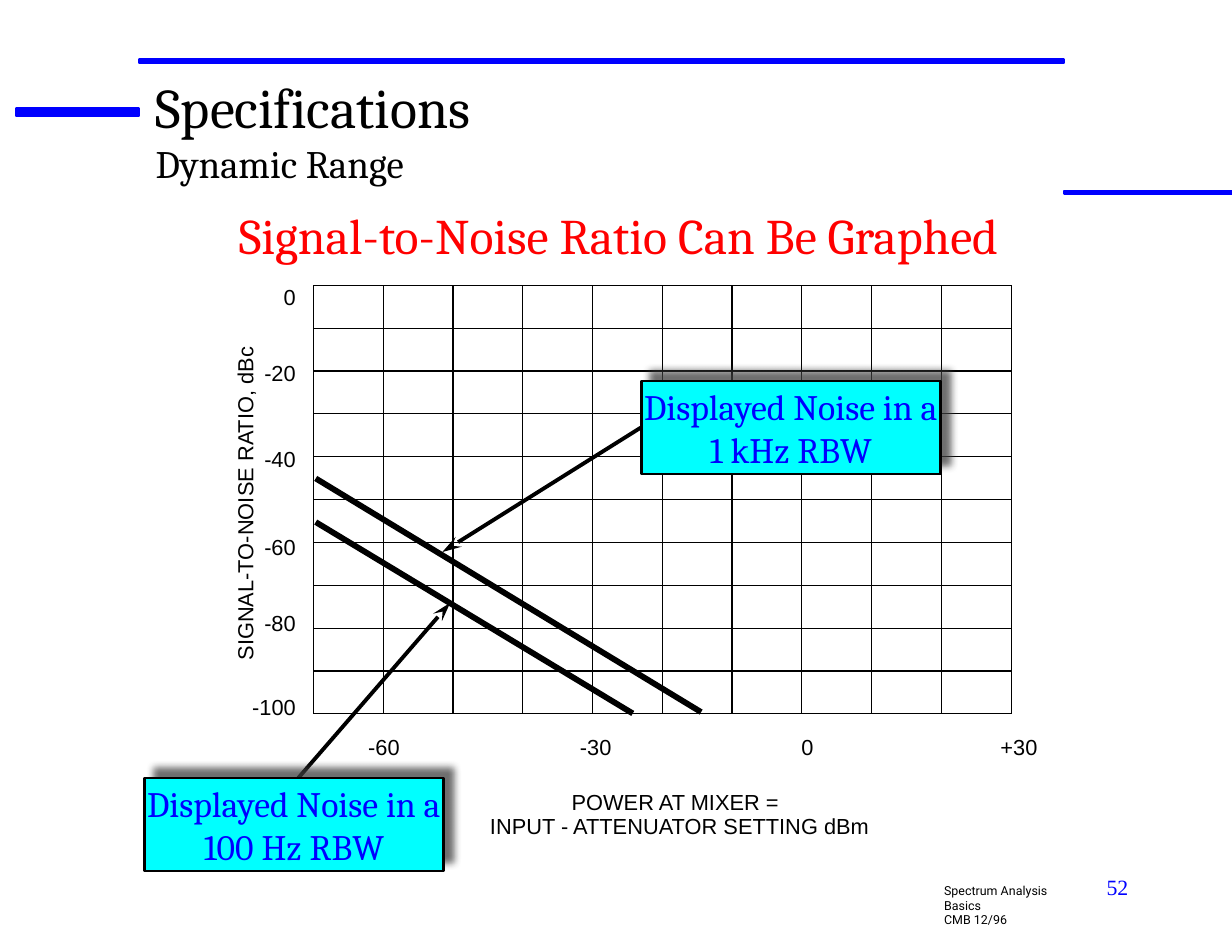
from lxml import etree
from pptx import Presentation
from pptx.dml.color import RGBColor
from pptx.enum.shapes import MSO_CONNECTOR, MSO_SHAPE
from pptx.enum.text import MSO_ANCHOR, PP_ALIGN
from pptx.oxml import parse_xml
from pptx.oxml.ns import nsdecls, qn
from pptx.util import Cm, Pt

BLACK = RGBColor(0, 0, 0)
BLUE = RGBColor(0, 0, 255)
CYAN = RGBColor(0, 255, 255)
RED = RGBColor(255, 0, 0)
LEFT, CENTER, RIGHT = PP_ALIGN.LEFT, PP_ALIGN.CENTER, PP_ALIGN.RIGHT
TOP, MIDDLE, BOTTOM = MSO_ANCHOR.TOP, MSO_ANCHOR.MIDDLE, MSO_ANCHOR.BOTTOM
STRAIGHT = MSO_CONNECTOR.STRAIGHT
RECTANGLE = MSO_SHAPE.RECTANGLE

# All places are centimetres: left, top, width, height
RULES = [(0.36, 2.46, 2.79, 0.18), (3.15, 1.35, 20.98, 0.08), (24.13, 4.34, 3.81, 0.05)]
TITLES = [("Specifications", 36), ("Dynamic Range", 25)]
HEADLINE = "Signal-to-Noise Ratio Can Be Graphed"
FOOTER = [("Spectrum Analysis Basics", 8), ("CMB 12/96", 8)]
PAGE_NUMBER = "52"

GRID_LEFT, GRID_TOP, GRID_WIDTH, GRID_HEIGHT = 7.11, 6.47, 15.82, 9.72
DIVISIONS = 10
Y_LABELS = [("0", 6.73), ("-20", 8.46), ("-40", 10.41),
            ("-60", 12.4), ("-80", 14.12), ("-100", 16.03)]  # text, centre
X_LABELS = ["-60", "-30", "0", "+30"]
X_LABEL_START, X_LABEL_STEP = 8.71, 4.8
Y_TITLE = "SIGNAL-TO-NOISE RATIO, dBc"
X_TITLE = [("POWER AT MIXER =", (12.8, 17.86, 5.03, 0.61)),
           ("INPUT - ATTENUATOR SETTING dBm", (10.82, 17.81, 9.19, 1.22))]
NOISE_LINES = [((7.16, 10.85), (15.9, 16.15)), ((7.16, 11.84), (14.35, 16.18))]
CALLOUTS = [
    ("Displayed Noise in a 1 kHz RBW", (14.55, 8.64), (14.53, 9.7), (10.03, 12.52)),
    ("Displayed Noise in a 100 Hz RBW", (3.28, 17.65), (6.76, 17.65), (10.21, 13.67)),
]
CALLOUT_SIZE = (6.78, 2.11)


def write(frame, lines, font, color, align):
    """Fill a text frame with (text, size) lines."""
    for index, (text, size) in enumerate(lines):
        para = frame.paragraphs[0] if index == 0 else frame.add_paragraph()
        para.text = text
        para.alignment = align
        span = para.runs[0]
        span.font.name = font
        span.font.size = Pt(size)
        span.font.color.rgb = color


def set_margins(frame, sides=0, ends=0):
    frame.margin_left = frame.margin_right = Cm(sides)
    frame.margin_top = frame.margin_bottom = Cm(ends)


def add_text(page, place, lines, font="Arial", color=BLACK, align=CENTER,
             anchor=TOP, wrap=True, margins=(0, 0)):
    box = page.shapes.add_textbox(*map(Cm, place))
    frame = box.text_frame
    frame.word_wrap = wrap
    frame.vertical_anchor = anchor
    set_margins(frame, *margins)
    write(frame, lines, font, color, align)
    return box


def add_label(page, text, place):
    return add_text(page, place, [(text, 14)], anchor=BOTTOM, wrap=False)


def add_line(page, start, end, width, arrow=False):
    line = page.shapes.add_connector(STRAIGHT, *map(Cm, (*start, *end)))
    line.line.color.rgb = BLACK
    line.line.width = Pt(width)
    if arrow:
        head = etree.SubElement(line.line._get_or_add_ln(), qn("a:tailEnd"))
        head.set("type", "stealth")
        head.set("len", "lg")
    etree.SubElement(line._element.spPr, qn("a:effectLst"))


def add_rectangle(page, place, fill, outline):
    shape = page.shapes.add_shape(RECTANGLE, *map(Cm, place))
    shape.shadow.inherit = False
    shape.fill.solid()
    shape.fill.fore_color.rgb = fill
    shape.line.color.rgb = outline
    shape.line.width = Pt(1.5)
    return shape


def add_callout(page, text, corner):
    box = add_rectangle(page, (*corner, *CALLOUT_SIZE), CYAN, BLACK)
    effects = box._element.spPr.find(qn("a:effectLst"))
    effects.append(parse_xml(
        f'<a:outerShdw {nsdecls("a")} blurRad="{Pt(5)}" dist="{Pt(8.5)}" '
        'dir="18900000" algn="ctr" rotWithShape="0">'
        '<a:srgbClr val="404040"><a:alpha val="75000"/></a:srgbClr></a:outerShdw>'))
    frame = box.text_frame
    frame.word_wrap = True
    frame.vertical_anchor = MIDDLE
    set_margins(frame)
    write(frame, [(text, 23)], "Cambria", BLUE, CENTER)


def add_frame(page):
    """Add the rules, titles, footer and page number."""
    for place in RULES:
        add_rectangle(page, place, BLUE, BLUE)
    add_text(page, (3.53, 1.65, 21.03, 2.54), TITLES, "Cambria", align=LEFT)
    add_text(page, (3.89, 4.65, 20.29, 1.35), [(HEADLINE, 32)], "Cambria", RED)
    add_text(page, (21.16, 19.89, 3.45, 0.94), FOOTER, "Roboto", align=LEFT,
             margins=(0.25, 0.13))
    add_text(page, (20.12, 19.69, 5.72, 1.47), [(PAGE_NUMBER, 14)],
             "Times New Roman", BLUE, RIGHT, margins=(0.25, 0.13))


def add_graph(page):
    right, bottom = GRID_LEFT + GRID_WIDTH, GRID_TOP + GRID_HEIGHT
    for step in range(DIVISIONS + 1):
        x = GRID_LEFT + GRID_WIDTH * step / DIVISIONS
        y = GRID_TOP + GRID_HEIGHT * step / DIVISIONS
        add_line(page, (x, GRID_TOP), (x, bottom), 0.75)
        add_line(page, (GRID_LEFT, y), (right, y), 0.75)
    for text, middle in Y_LABELS:
        box = add_label(page, text, (5.69, middle - 0.3, 1.02, 0.6))
        box.text_frame.paragraphs[0].alignment = RIGHT
    for index, text in enumerate(X_LABELS):
        middle = X_LABEL_START + index * X_LABEL_STEP
        add_label(page, text, (middle - 0.5, 16.64, 1, 0.6))
    for text, place in X_TITLE:
        add_label(page, text, place)
    add_label(page, Y_TITLE, (1.63, 11.13, 7.85, 0.58)).rotation = 270
    for start, end in NOISE_LINES:
        add_line(page, start, end, 3.75)


def main():
    deck = Presentation()
    deck.slide_width, deck.slide_height = Cm(27.94), Cm(21.59)
    page = deck.slides.add_slide(deck.slide_layouts[6])
    add_frame(page)
    add_graph(page)
    for text, corner, start, tip in CALLOUTS:
        add_line(page, start, tip, 2.5, arrow=True)
        add_callout(page, text, corner)
    deck.save("out.pptx")


if __name__ == "__main__":
    main()
